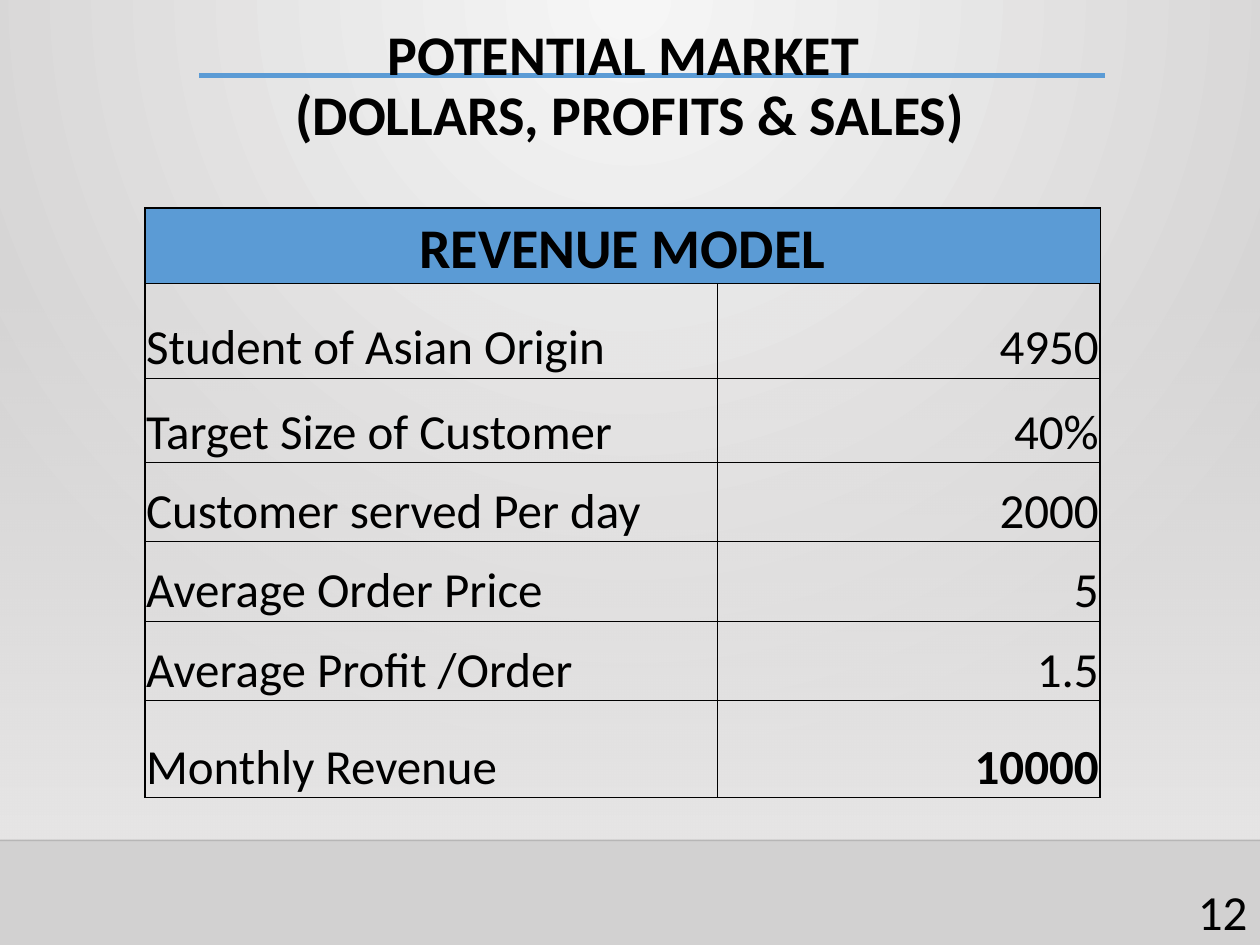
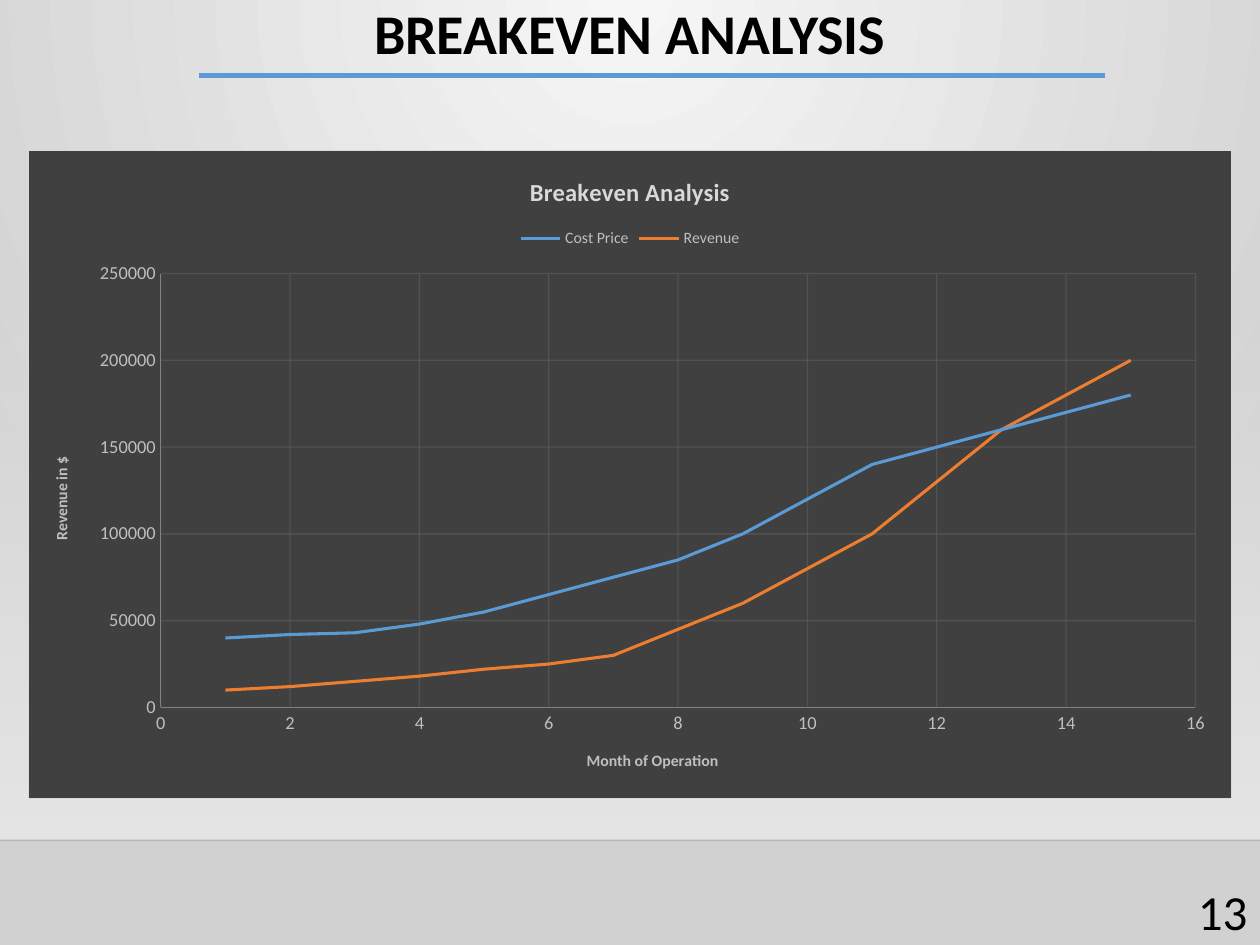
from lxml import etree
from pptx import Presentation
from pptx import util as u
from pptx.chart import data
from pptx.dml import color
from pptx.enum import chart as ch, shapes, text
from pptx.oxml import ns, parse_xml

# Shared look
FONT = "Calibri"
BLACK, BLUE, ORANGE = "000000", "5B9BD5", "ED7D31"
SILVER, GREY, DARK = "BFBFBF", "808080", "404040"
A, C = ns.nsdecls("a"), ns.nsdecls("c")
LEFT, MID, RIGHT = text.PP_ALIGN.LEFT, text.PP_ALIGN.CENTER, text.PP_ALIGN.RIGHT


def rgb(code):
    return color.RGBColor.from_string(code)


def box(*sides):
    return [u.Inches(s) for s in sides]


def put(obj, vals):
    for name, val in vals.items():
        setattr(obj, name, val)


def style(font, size, code=BLACK, bold=False):
    put(font, dict(name=FONT, size=u.Pt(size), bold=bold))
    font.color.rgb = rgb(code)


def stroke(line, code, width, alpha=None):
    line.width = u.Pt(width)
    line.color.rgb = rgb(code)
    if alpha:
        tone = line.fill._xPr.find(".//" + ns.qn("a:srgbClr"))
        etree.SubElement(tone, ns.qn("a:alpha"), val=str(alpha * 1000))


def blend(solid, stops, way):
    """Swap a solid fill for a gradient of (position, colour, opacity) stops."""
    marks = "".join(
        f'<a:gs pos="{pos * 1000}"><a:srgbClr val="{code}">'
        f'<a:alpha val="{alpha * 1000}"/></a:srgbClr></a:gs>'
        for pos, code, alpha in stops)
    grad = parse_xml(f'<a:gradFill {A} rotWithShape="1"><a:gsLst>{marks}'
                     f'</a:gsLst>{way}</a:gradFill>')
    solid.getparent().replace(solid, grad)


def rule(slide, x, y, end, code, width, alpha=None):
    line = slide.shapes.add_connector(
        shapes.MSO_CONNECTOR.STRAIGHT, *box(x, y, end, y))
    stroke(line.line, code, width, alpha)
    etree.SubElement(line._element.spPr, ns.qn("a:effectLst"))
    return line


# Backdrop, band and rules, held by the layout
def dress(layout, slide):
    master = layout.slide_master
    master.background.fill.solid()
    master.background.fill.fore_color.rgb = rgb("F6F6F6")
    solid = master.element.find(".//" + ns.qn("p:bgPr"))[0]
    blend(solid, [(0, "F6F6F6", 100), (100, "D2D1D1", 100)],
          '<a:path path="circle"><a:fillToRect l="43000" r="43000" b="100000"/></a:path>')

    band = slide.shapes.add_shape(
        shapes.MSO_SHAPE.RECTANGLE, *box(0, 2.2, 10, 4.47))
    band.shadow.inherit = False
    band.line.fill.background()
    band.fill.solid()
    band.fill.fore_color.rgb = rgb("E7E6E6")
    blend(band._element.spPr.find(ns.qn("a:solidFill")),
          [(0, "E7E6E6", 0), (100, "E7E6E6", 100)], '<a:lin ang="5400000"/>')

    floor = rule(slide, 0, 6.67, 10, "000001", 1, 20)
    under = rule(slide, 1.58, 0.6, 8.77, BLUE, 2.5)
    for part in (band, floor, under):
        layout.shapes._spTree.append(part._element)


# Title and slide number
def head(slide, words, top, high, num):
    title = slide.shapes.title
    put(title, dict(zip(("left", "top", "width", "height"),
                        box(0, top, 10, high))))
    frame = title.text_frame
    frame.text = words
    put(frame, dict(word_wrap=True, auto_size=text.MSO_AUTO_SIZE.NONE,
                    vertical_anchor=text.MSO_ANCHOR.MIDDLE))
    para = frame.paragraphs[0]
    put(para, dict(alignment=MID, line_spacing=0.9))
    for run in para.runs:
        style(run.font, 32, bold=True)

    foot = slide.shapes.add_textbox(*box(9.13, 6.95, 0.87, 0.55)).text_frame
    put(foot, dict(word_wrap=True, text=num))
    foot.paragraphs[0].alignment = RIGHT
    style(foot.paragraphs[0].runs[0].font, 28)


# Revenue table
def edge(cell, widths):
    props = cell._tc.get_or_add_tcPr()
    for at, (side, width) in enumerate(widths.items()):
        props.insert(at, parse_xml(
            f'<a:ln{side} {A} w="{u.Pt(width)}"><a:solidFill>'
            f'<a:srgbClr val="{BLACK}"/></a:solidFill></a:ln{side}>'))


def fill_cell(cell, words, align, size, bold):
    put(cell, dict(text=words, vertical_anchor=text.MSO_ANCHOR.BOTTOM,
                   margin_left=u.Inches(0.01), margin_right=u.Inches(0.01),
                   margin_top=u.Inches(0.01), margin_bottom=0))
    para = cell.text_frame.paragraphs[0]
    para.alignment = align
    for run in para.runs:
        style(run.font, size, bold=bold)


def grid(slide, x, y, cols, highs, name, rows):
    table = slide.shapes.add_table(
        len(highs), len(cols), *box(x, y, sum(cols), sum(highs))).table
    put(table, dict(first_row=False, horz_banding=False))
    for col, wide in zip(table.columns, cols):
        col.width = u.Inches(wide)
    for row, high in zip(table.rows, highs):
        row.height = u.Inches(high)

    last = len(rows)
    for r, pair in enumerate([(name, "")] + rows):
        for c, words in enumerate(pair):
            cell = table.cell(r, c)
            if r == 0:
                fill_cell(cell, words, MID, 32, True)
                cell.fill.solid()
                cell.fill.fore_color.rgb = rgb(BLUE)
            else:
                fill_cell(cell, words, RIGHT if c else LEFT, 28,
                          r == last and c == 1)
                cell.fill.background()
            edge(cell, dict(L=0.5 if c else 1, R=1 if c else 0.5,
                            T=0.5 if r else 1, B=1 if r == last else 0.5))
    table.cell(0, 0).merge(table.cell(0, 1))


# Breakeven chart
def name_it(title, words, size, code):
    title.text_frame.text = words
    style(title.text_frame.paragraphs[0].runs[0].font, size, code, True)


def scale(axis, words, top, step):
    put(axis, dict(minimum_scale=0, maximum_scale=top, major_unit=step,
                   has_major_gridlines=True, has_minor_gridlines=False,
                   major_tick_mark=ch.XL_TICK_MARK.NONE,
                   minor_tick_mark=ch.XL_TICK_MARK.NONE))
    put(axis.tick_labels, dict(number_format="General",
                               number_format_is_linked=False))
    style(axis.tick_labels.font, 10.5, SILVER)
    stroke(axis.format.line, GREY, 0.75)
    stroke(axis.major_gridlines.format.line, "595959", 0.75, 75)
    name_it(axis.axis_title, words, 9, SILVER)


def frame_plot(chart, x, y, w, h):
    area = chart._chartSpace.chart.plotArea
    for old in area.findall(ns.qn("c:layout")):
        area.remove(old)
    sides = "".join(f'<c:{k} val="{v}"/>' for k, v in
                    dict(xMode="edge", yMode="edge", x=x, y=y, w=w, h=h).items())
    area.insert(0, parse_xml(
        f'<c:layout {C}><c:manualLayout><c:layoutTarget val="inner"/>{sides}'
        f'</c:manualLayout></c:layout>'))


def curves(slide, x, y, w, h, lines):
    points = data.XyChartData()
    for name, (_, vals) in lines.items():
        series = points.add_series(name)
        for month, val in enumerate(vals, 1):
            series.add_data_point(month, val * 1000)
    chart = slide.shapes.add_chart(
        ch.XL_CHART_TYPE.XY_SCATTER_LINES_NO_MARKERS,
        *box(x, y, w, h), points).chart
    style(chart.font, 10)
    put(chart, dict(has_title=True, has_legend=True))
    name_it(chart.chart_title, "Breakeven Analysis", 14, "D9D9D9")
    put(chart.legend, dict(position=ch.XL_LEGEND_POSITION.TOP,
                           include_in_layout=False))
    style(chart.legend.font, 9, SILVER)
    scale(chart.category_axis, "Month of Operation", 16, 2)
    scale(chart.value_axis, "Revenue in $", 250000, 50000)

    plot = chart.plots[0]
    plot.vary_by_categories = False
    for series, (code, _) in zip(plot.series, lines.values()):
        series.smooth = False
        series.marker.style = ch.XL_MARKER_STYLE.NONE
        stroke(series.format.line, code, 1.75)
    frame_plot(chart, 0.11, 0.19, 0.86, 0.67)
    chart._chartSpace.chart.addnext(parse_xml(
        f'<c:spPr {C} {A}><a:solidFill><a:srgbClr val="{DARK}"/></a:solidFill>'
        f'<a:ln w="{u.Pt(0.75)}"><a:solidFill><a:srgbClr val="D9D9D9"/>'
        f'</a:solidFill></a:ln></c:spPr>'))


def main():
    deck = Presentation()
    put(deck, dict(slide_width=u.Inches(10), slide_height=u.Inches(7.5)))
    layout = deck.slide_layouts[5]

    # Potential market
    market = deck.slides.add_slide(layout)
    dress(layout, market)
    head(market, "POTENTIAL MARKET \v(DOLLARS, PROFITS & SALES)", 0.12, 1.15, "12")
    grid(market, 1.15, 1.65, [4.54, 3.04],
         [0.6, 0.75, 0.67, 0.63, 0.63, 0.63, 0.77], "REVENUE MODEL", [
             ("Student of Asian Origin", "4950"),
             ("Target Size of Customer", "40%"),
             ("Customer served Per day", "2000"),
             ("Average Order Price", "5"),
             ("Average Profit /Order", "1.5"),
             ("Monthly Revenue", "10000")])

    # Breakeven analysis, in thousands by month
    even = deck.slides.add_slide(layout)
    head(even, "BREAKEVEN ANALYSIS", 0, 0.57, "13")
    curves(even, 0.22, 1.19, 9.56, 5.15, {
        "Cost Price": (BLUE, [40, 42, 43, 48, 55, 65, 75, 85, 100, 120,
                              140, 150, 160, 170, 180]),
        "Revenue": (ORANGE, [10, 12, 15, 18, 22, 25, 30, 45, 60, 80,
                             100, 130, 160, 180, 200])})
    deck.save("out.pptx")


if __name__ == "__main__":
    main()
